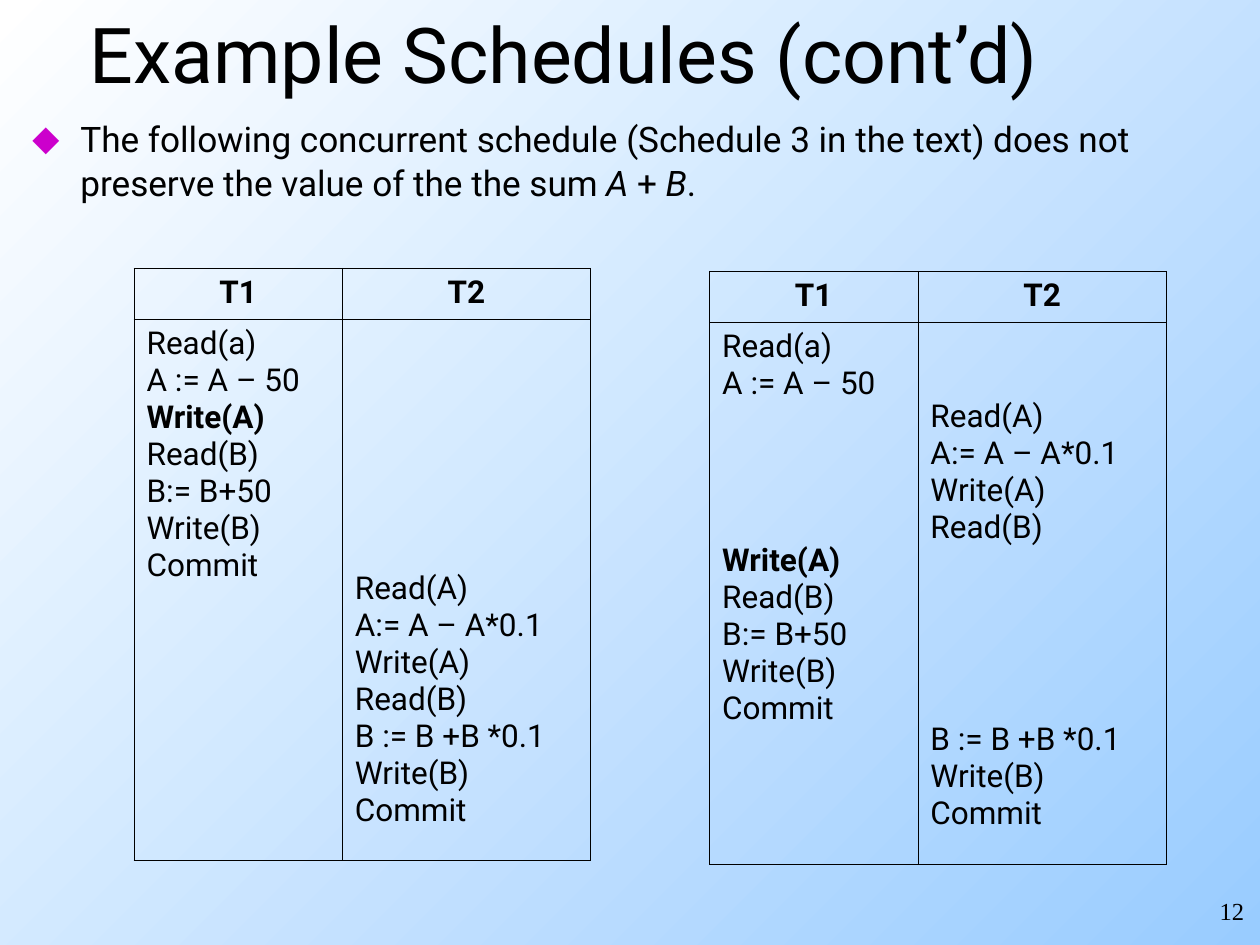
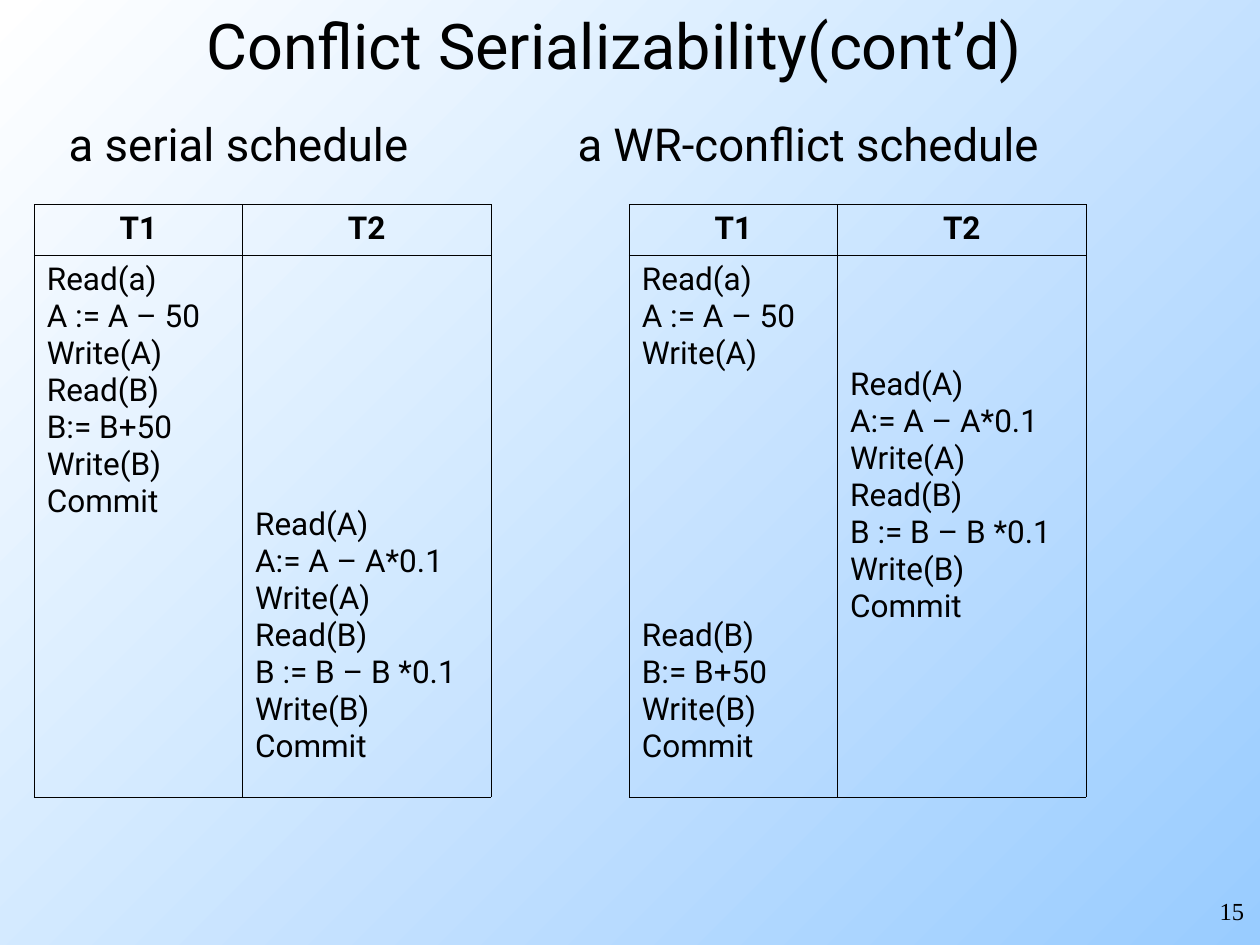
from dataclasses import dataclass
from typing import Any

from lxml import etree
from pptx import Presentation
from pptx.dml.color import RGBColor
from pptx.enum.text import PP_ALIGN
from pptx.oxml.ns import qn
from pptx.util import Pt

LEFT, MID, RIGHT = PP_ALIGN.LEFT, PP_ALIGN.CENTER, PP_ALIGN.RIGHT
BLACK, WHITE, SKY, PINK = "000000", "FFFFFF", "99CCFF", "CC00CC"
SANS, SERIF = "Roboto", "Times New Roman"

WIDTHS = (119, 142)
HEIGHTS = (29.1, 309.6)
BLANK = 20  # height of one idle step
PAD = 3.6
INDENT = 27.4

HEADS = ("T1", "T2")
START = ("Read(a)", "A := A – 50")
TAIL_1 = ("Read(B)", "B:= B+50", "Write(B)", "Commit")
LOAD_2 = ("Read(A)", "A:= A – A*0.1", "Write(A)", "Read(B)")
PLUS = ("B := B +B *0.1", "Write(B)", "Commit")
MINUS = ("B := B – B *0.1", "Write(B)", "Commit")


@dataclass(frozen=True)
class Text:
    left: float
    top: float
    width: float
    height: float
    runs: tuple[str, ...]  # every second run is italic
    size: float
    align: Any = LEFT
    font: str = SANS
    pad: tuple[float, float] = (7.2, PAD)


@dataclass(frozen=True)
class Plan:
    """A schedule table; a number among the steps counts idle steps."""
    left: float
    top: float
    first: tuple[str | int, ...]
    second: tuple[str | int, ...]
    bold: str = ""


@dataclass(frozen=True)
class Page:
    title: Text
    number: str
    plans: tuple[Plan, ...]
    notes: tuple[Text, ...]
    marked: bool = False


PAGES = (
    Page(
        Text(16.5, 0, 612, 56, ("Example Schedules (cont’d)",), 44, MID),
        "12",
        (
            Plan(405.5, 155, START + (4, "Write(A)") + TAIL_1,
                 (2,) + LOAD_2 + (5,) + PLUS, "Write(A)"),
            Plan(76.6, 153.2, START + ("Write(A)",) + TAIL_1,
                 (7,) + LOAD_2 + PLUS, "Write(A)"),
        ),
        (Text(11.5, 66, 698, 93,
              ("The following concurrent schedule (Schedule 3 in the text) "
               "does not preserve the value of the the sum ", "A ", "+ ", "B", "."),
              20.1, pad=(7.2, 0)),),
        marked=True,
    ),
    Page(
        Text(45, 0, 612, 45, ("Conflict Serializability(cont’d)",), 36, MID),
        "15",
        (
            Plan(359.6, 116.8, START + ("Write(A)", 7) + TAIL_1,
                 (3,) + LOAD_2 + MINUS),
            Plan(19.6, 116.8, START + ("Write(A)",) + TAIL_1,
                 (7,) + LOAD_2 + MINUS),
        ),
        (
            Text(39.3, 66.3, 260, 32, ("a serial schedule",), 26, pad=(0, 0)),
            Text(330, 66.3, 320, 32, ("a WR-conflict schedule",), 26, pad=(0, 0)),
        ),
    ),
)


def color(code: str) -> RGBColor:
    return RGBColor.from_string(code)


def apply(item: Any, values: dict[str, Any]) -> None:
    for key, value in values.items():
        setattr(item, key, value)


def add_run(para: Any, words: str, size: float, font: str = SANS, **more: bool) -> None:
    run = para.add_run()
    run.text = words
    apply(run.font, {"size": Pt(size), "name": font, **more})
    run.font.color.rgb = color(BLACK)


def add_text(slide: Any, text: Text) -> Any:
    box = slide.shapes.add_textbox(
        Pt(text.left), Pt(text.top), Pt(text.width), Pt(text.height))
    side, edge = map(Pt, text.pad)
    frame = box.text_frame
    apply(frame, {"word_wrap": True, "margin_left": side, "margin_right": side,
                  "margin_top": edge, "margin_bottom": edge})
    para = frame.paragraphs[0]
    para.alignment = text.align
    for spot, words in enumerate(text.runs):
        add_run(para, words, text.size, text.font, italic=spot % 2 == 1)
    return para


def add_mark(para: Any) -> None:
    """Give the paragraph a diamond bullet with a hanging indent."""
    para.line_spacing = 1.04
    props = para._p.get_or_add_pPr()
    props.set("marL", str(Pt(INDENT)))
    props.set("indent", str(-Pt(INDENT)))
    tint = etree.SubElement(props, qn("a:buClr"))
    etree.SubElement(tint, qn("a:srgbClr"), val=PINK)
    etree.SubElement(props, qn("a:buFont"), typeface=SANS)
    etree.SubElement(props, qn("a:buChar"), char="◆")


def add_edges(cell: Any) -> None:
    props = cell._tc.get_or_add_tcPr()
    for spot, side in enumerate(("lnL", "lnR", "lnT", "lnB")):
        line = etree.Element(qn(f"a:{side}"), w=str(Pt(0.45)))
        fill = etree.SubElement(line, qn("a:solidFill"))
        etree.SubElement(fill, qn("a:srgbClr"), val=BLACK)
        props.insert(spot, line)


def fill_steps(cell: Any, steps: tuple[str | int, ...], bold: str) -> None:
    """Write the steps; idle time becomes cell margin or space before."""
    gap, para = 0, None
    for step in steps:
        if isinstance(step, int):
            gap = step * BLANK
            continue
        if para is None:
            para = cell.text_frame.paragraphs[0]
            cell.margin_top = Pt(PAD + gap)
        else:
            para = cell.text_frame.add_paragraph()
            para.space_before = Pt(gap)
        add_run(para, step, 18, bold=step == bold)
        gap = 0


def add_plan(slide: Any, plan: Plan) -> None:
    table = slide.shapes.add_table(
        2, 2, Pt(plan.left), Pt(plan.top), Pt(sum(WIDTHS)), Pt(sum(HEIGHTS))).table
    apply(table, {"first_row": False, "horz_banding": False})
    for spot, (width, height) in enumerate(zip(WIDTHS, HEIGHTS)):
        table.columns[spot].width = Pt(width)
        table.rows[spot].height = Pt(height)
    for cell in table.iter_cells():
        cell.fill.background()
        add_edges(cell)
    for spot, steps in enumerate((plan.first, plan.second)):
        head = table.cell(0, spot).text_frame.paragraphs[0]
        head.alignment = MID
        add_run(head, HEADS[spot], 18, bold=True)
        fill_steps(table.cell(1, spot), steps, plan.bold if spot == 0 else "")


def paint_back(master: Any) -> None:
    fill = master.background.fill
    fill.gradient()
    fill.gradient_angle = 315
    for stop, code in zip(fill.gradient_stops, (WHITE, SKY)):
        stop.color.rgb = color(code)


def add_page(deck: Any, page: Page) -> None:
    slide = deck.slides.add_slide(deck.slide_layouts[6])
    add_text(slide, page.title)
    for note in page.notes:
        para = add_text(slide, note)
        if page.marked:
            add_mark(para)
    add_text(slide, Text(568, 508.3, 150, 26, (page.number,), 14, RIGHT, SERIF))
    for plan in page.plans:
        add_plan(slide, plan)


def main() -> None:
    deck = Presentation()
    apply(deck, {"slide_width": Pt(720), "slide_height": Pt(540)})
    paint_back(deck.slide_master)
    for page in PAGES:
        add_page(deck, page)
    deck.save("out.pptx")


if __name__ == "__main__":
    main()
